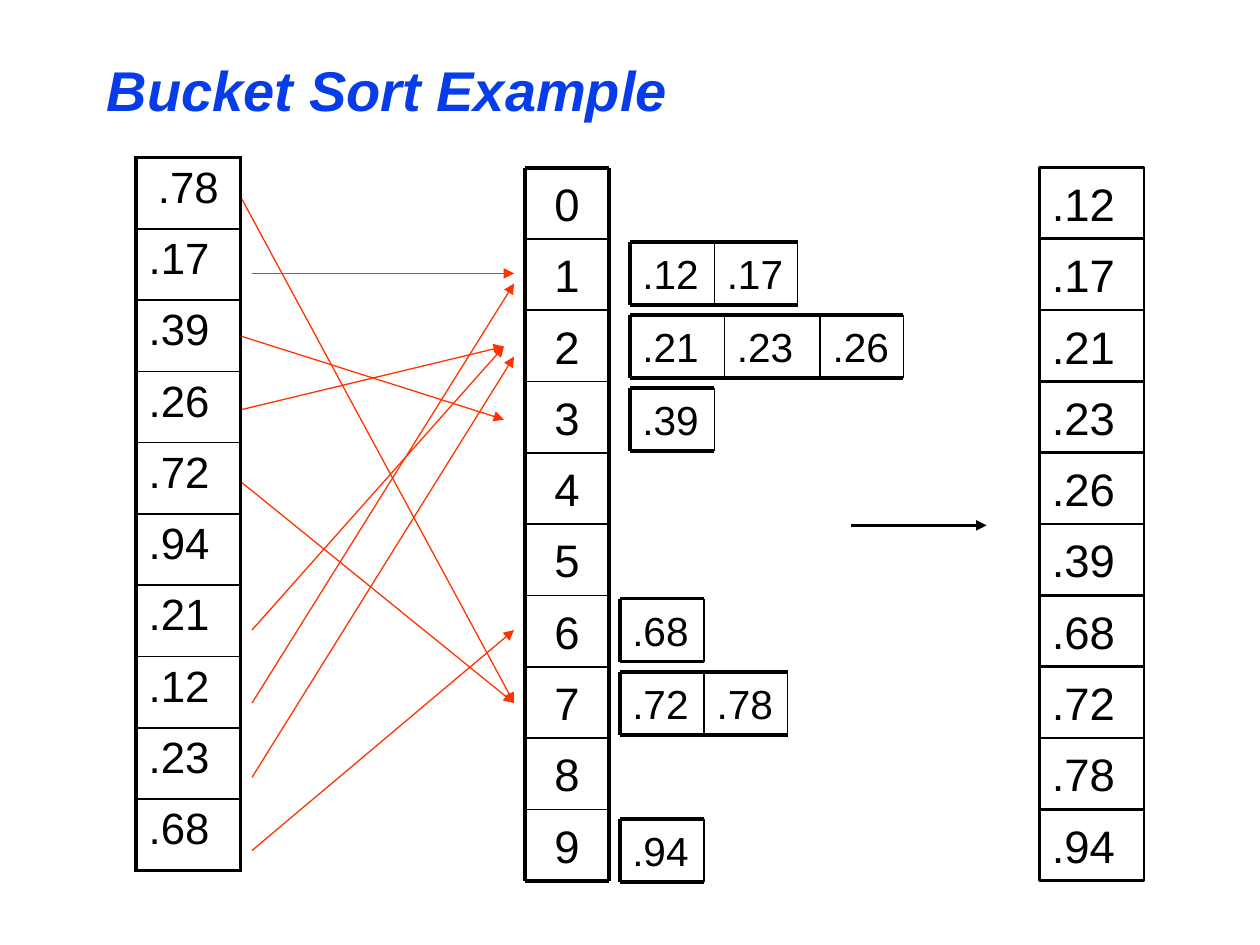
from typing import NamedTuple

from lxml.etree import SubElement
from pptx import Presentation
from pptx.dml.color import RGBColor
from pptx.enum.shapes import MSO_CONNECTOR, MSO_SHAPE
from pptx.enum.text import MSO_ANCHOR, PP_ALIGN
from pptx.oxml import parse_xml
from pptx.oxml.ns import nsdecls, qn
from pptx.util import Inches, Pt

BLACK = RGBColor(0x00, 0x00, 0x00)
BLUE = RGBColor(0x06, 0x3D, 0xE8)
RED = RGBColor(0xFF, 0x33, 0x00)
THICK, MEDIUM, THIN, ARROW = 2.25, 1.5, 1, 0.75
ROW_HEIGHT = 5.66 / 10
COLUMN_TOP = 1.33
BUCKET_HEIGHT = 0.5


class Bucket(NamedTuple):
    left: float
    top: float
    edges: tuple[float, ...]  # right edge of each cell, from the bucket's left
    values: tuple[str, ...]


class Arrow(NamedTuple):
    x1: float
    y1: float
    x2: float
    y2: float


UNSORTED = (".78", ".17", ".39", ".26", ".72", ".94", ".21", ".12", ".23", ".68")
BUCKETS = (
    Bucket(5, 1.92, (0.67, 1.33), (".12", ".17")),
    Bucket(5, 2.5, (0.75, 1.51, 2.17), (".21", ".23", ".26")),
    Bucket(5, 3.08, (0.67,), (".39",)),
    Bucket(4.92, 4.75, (0.67,), (".68",)),
    Bucket(4.92, 5.33, (0.67, 1.33), (".72", ".78")),
    Bucket(4.92, 6.5, (0.67,), (".94",)),
)
ARROWS = (
    Arrow(1.92, 1.58, 4.08, 5.58),
    Arrow(2, 2.17, 4.08, 2.17),
    Arrow(1.92, 2.67, 4, 3.33),
    Arrow(1.92, 3.25, 4, 2.75),
    Arrow(1.92, 3.83, 4.08, 5.58),
    Arrow(2, 5, 4, 2.75),
    Arrow(2, 5.58, 4.08, 2.25),
    Arrow(2, 6.17, 4.08, 2.83),
    Arrow(2, 6.75, 4.08, 5),
)


def write(tf, text: str, size: float, align=PP_ALIGN.LEFT, color=BLACK):
    tf.word_wrap = True
    tf.vertical_anchor = MSO_ANCHOR.MIDDLE
    p = tf.paragraphs[0]
    p.text = text
    p.alignment = align
    font = p.runs[0].font
    font.name = "Arial"
    font.size = Pt(size)
    font.color.rgb = color
    return font


def add_text(slide, left: float, top: float, width: float, height: float,
             text: str, size: float, **style):
    sp = slide.shapes.add_textbox(Inches(left), Inches(top), Inches(width), Inches(height))
    return write(sp.text_frame, text, size, **style)


def add_line(slide, x1: float, y1: float, x2: float, y2: float,
             width: float, color=BLACK, arrow: bool = False) -> None:
    line = slide.shapes.add_connector(
        MSO_CONNECTOR.STRAIGHT, Inches(x1), Inches(y1), Inches(x2), Inches(y2))
    line.line.color.rgb = color
    line.line.width = Pt(width)
    sp_pr = line.element.spPr
    if arrow:
        SubElement(sp_pr.find(qn("a:ln")), qn("a:tailEnd"), type="triangle")
    SubElement(sp_pr, qn("a:effectLst"))


def set_borders(cell, top: float, bottom: float) -> None:
    sides = {"L": THICK, "R": THICK, "T": top, "B": bottom}
    tc_pr = cell._tc.get_or_add_tcPr()
    for i, (side, width) in enumerate(sides.items()):
        tc_pr.insert(i, parse_xml(
            f'<a:ln{side} {nsdecls("a")} w="{Pt(width)}"><a:solidFill>'
            f'<a:srgbClr val="{BLACK}"/></a:solidFill></a:ln{side}>'))


def add_unsorted_table(slide) -> None:
    count = len(UNSORTED)
    frame = slide.shapes.add_table(
        count, 1, Inches(1.08), Inches(1.25), Inches(0.83), Inches(ROW_HEIGHT * count))
    table = frame.table
    table.first_row = table.horz_banding = False
    for i, value in enumerate(UNSORTED):
        table.rows[i].height = Inches(ROW_HEIGHT)
        cell = table.cell(i, 0)
        cell.fill.background()
        write(cell.text_frame, value, 25, PP_ALIGN.LEFT if i else PP_ALIGN.CENTER)
        cell.vertical_anchor = MSO_ANCHOR.TOP
        set_borders(cell, THIN if i else THICK, THIN if i < count - 1 else THICK)


def add_index_column(slide) -> None:
    left, right = 4.17, 4.83
    bottom = COLUMN_TOP + 10 * ROW_HEIGHT
    for i in range(10):
        add_text(slide, left, COLUMN_TOP + i * ROW_HEIGHT, right - left, ROW_HEIGHT,
                 str(i), 26, align=PP_ALIGN.CENTER)
    for i in range(11):
        y = COLUMN_TOP + i * ROW_HEIGHT
        add_line(slide, left, y, right, y, THICK if i in (0, 10) else THIN)
    for x in (left, right):
        add_line(slide, x, COLUMN_TOP, x, bottom, THICK)


def add_bucket(slide, bucket: Bucket) -> None:
    left, top = bucket.left, bucket.top
    bottom = top + BUCKET_HEIGHT
    starts = (0, *bucket.edges)
    for start, end, value in zip(starts, bucket.edges, bucket.values):
        add_text(slide, left + start, top, max(end - start, 0.67), BUCKET_HEIGHT, value, 23.2)
    for y in (top, bottom):
        add_line(slide, left, y, left + bucket.edges[-1], y, THICK)
    for x in starts:
        add_line(slide, left + x, top, left + x, bottom, THIN if x else THICK)


def add_sorted_column(slide) -> None:
    for i, value in enumerate(sorted(UNSORTED)):
        sp = slide.shapes.add_shape(
            MSO_SHAPE.RECTANGLE, Inches(8.25), Inches(COLUMN_TOP + i * ROW_HEIGHT),
            Inches(0.83), Inches(ROW_HEIGHT))
        sp.shadow.inherit = False
        sp.fill.background()
        sp.line.color.rgb = BLACK
        sp.line.width = Pt(MEDIUM)
        write(sp.text_frame, value, 26)


def main() -> None:
    prs = Presentation()
    prs.slide_width, prs.slide_height = Inches(10), Inches(7.5)
    slide = prs.slides.add_slide(prs.slide_layouts[6])

    title = add_text(slide, 0.75, 0.33, 8.5, 0.75, "Bucket Sort Example", 32, color=BLUE)
    title.bold = title.italic = True

    add_unsorted_table(slide)
    add_index_column(slide)
    for bucket in BUCKETS:
        add_bucket(slide, bucket)
    add_sorted_column(slide)
    add_line(slide, 6.75, 4.17, 7.83, 4.17, MEDIUM, arrow=True)
    for arrow in ARROWS:
        add_line(slide, *arrow, ARROW, RED, arrow=True)

    prs.save("out.pptx")


if __name__ == "__main__":
    main()
